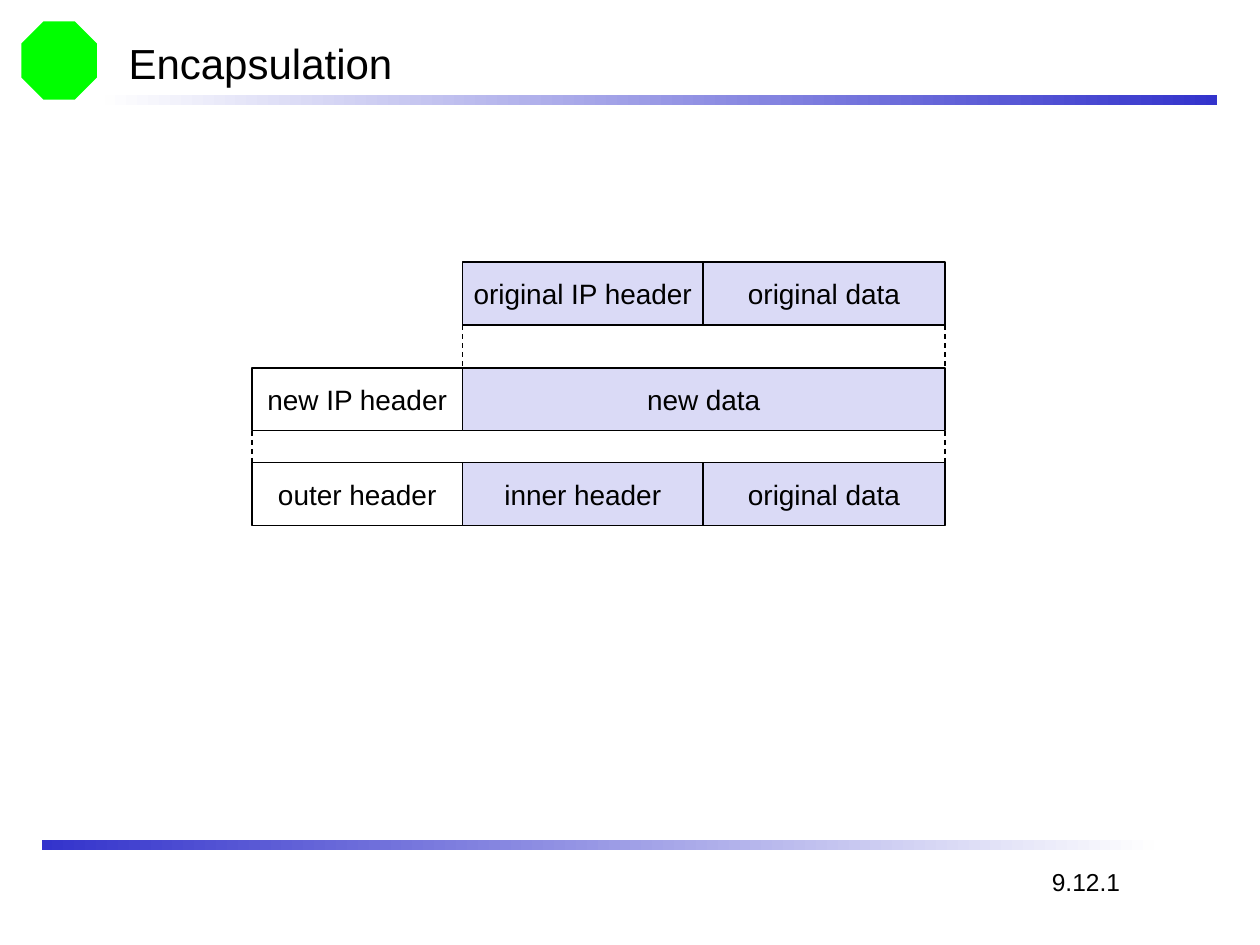
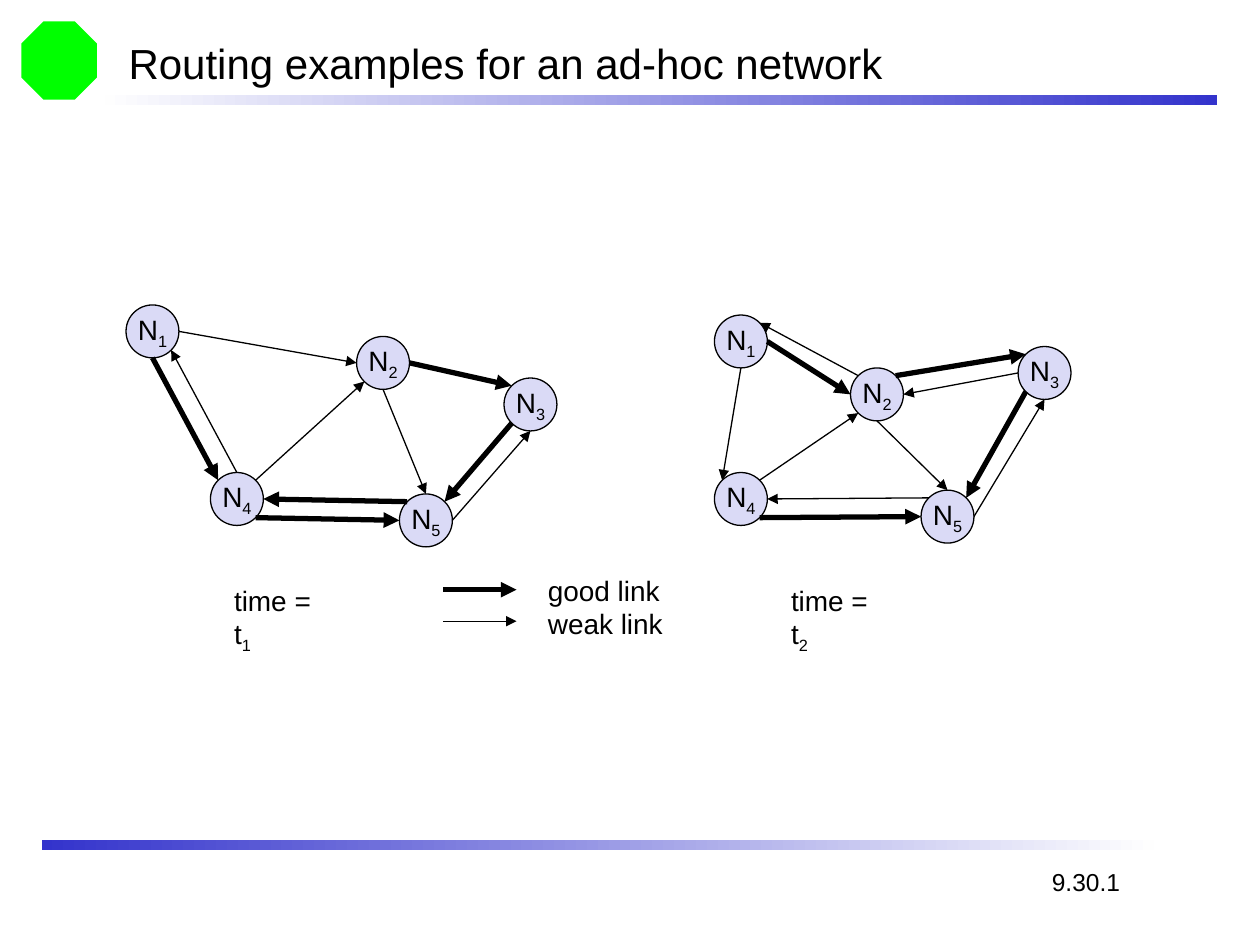
from math import cos, radians, sin

from lxml.etree import SubElement
from pptx import Presentation
from pptx.dml.color import RGBColor
from pptx.enum.dml import MSO_LINE
from pptx.enum.shapes import MSO_CONNECTOR, MSO_SHAPE
from pptx.enum.text import MSO_ANCHOR, MSO_AUTO_SIZE, PP_ALIGN
from pptx.oxml.ns import qn
from pptx.util import Inches, Pt

FONT = "Arial"
BLACK, WHITE = "000000", "FFFFFF"
LAVENDER, BAND_BLUE, BAND_PALE = "DADAF6", "3333CC", "FEFEFE"
EMBLEM_GREEN = "00FF00"
TITLE_ONLY = 5
THIN, THICK = 0.75, 3

NODE_SIZE = 0.42
# Directions from a node's centre, in degrees clockwise from east
COMPASS = {name: 45 * step for step, name in
           enumerate(["E", "SE", "S", "SW", "W", "NW", "N", "NE"])}


def color(hex_string):
    return RGBColor.from_string(hex_string)


class Deck:
    """Holds the shared style and the slide being built."""

    def __init__(self):
        self.presentation = Presentation()
        self.presentation.slide_width = Inches(10)
        self.presentation.slide_height = Inches(7.5)
        self.slide = None

    def new_slide(self, title, number):
        layout = self.presentation.slide_layouts[TITLE_ONLY]
        self.slide = self.presentation.slides.add_slide(layout)
        # Emblem and bands
        self.shape(MSO_SHAPE.OCTAGON, 0.17, 0.17, 0.6, 0.62, EMBLEM_GREEN)
        self.band(0.83, 0.75, BAND_PALE, BAND_BLUE)
        self.band(0.33, 6.67, BAND_BLUE, BAND_PALE)
        # Title and page number
        placeholder = self.slide.shapes.title
        placeholder.left, placeholder.top = Inches(0.92), Inches(0.25)
        placeholder.width, placeholder.height = Inches(8.5), Inches(0.5)
        frame = placeholder.text_frame
        frame.auto_size = MSO_AUTO_SIZE.NONE
        frame.vertical_anchor = MSO_ANCHOR.MIDDLE
        self.set_text(frame.paragraphs[0], title, 24, PP_ALIGN.LEFT)
        self.text(8.25, 6.83, 0.74, 0.34, [number], 14)

    def set_text(self, paragraph, text, size, alignment, subscript=""):
        paragraph.add_run().text = text
        if subscript:
            run = paragraph.add_run()
            run.text = subscript
            run.font._element.set("baseline", "-25000")
        paragraph.alignment = alignment
        paragraph.font.name = FONT
        paragraph.font.size = Pt(size)
        paragraph.font.color.rgb = color(BLACK)

    def shape(self, kind, left, top, width, height, fill=None, outlined=False):
        shape = self.slide.shapes.add_shape(
            kind, Inches(left), Inches(top), Inches(width), Inches(height))
        shape.shadow.inherit = False
        if fill:
            shape.fill.solid()
            shape.fill.fore_color.rgb = color(fill)
        if outlined:
            shape.line.color.rgb = color(BLACK)
            shape.line.width = Pt(THIN)
        else:
            shape.line.fill.background()
        return shape

    def band(self, left, top, start_color, end_color):
        band = self.shape(MSO_SHAPE.RECTANGLE, left, top, 8.83, 0.08)
        band.fill.gradient()
        band.fill.gradient_angle = 0
        for stop, hex_string in zip(band.fill.gradient_stops, (start_color, end_color)):
            stop.color.rgb = color(hex_string)

    def labelled(self, kind, left, top, width, height, text, fill, subscript=""):
        frame = self.shape(kind, left, top, width, height, fill, True).text_frame
        frame.word_wrap = False
        frame.vertical_anchor = MSO_ANCHOR.MIDDLE
        self.set_text(frame.paragraphs[0], text, 16, PP_ALIGN.CENTER, subscript)

    def text(self, left, top, width, height, lines, size=16, subscript=""):
        box = self.slide.shapes.add_textbox(
            Inches(left), Inches(top), Inches(width), Inches(height))
        frame = box.text_frame
        frame.word_wrap = False
        frame.auto_size = MSO_AUTO_SIZE.SHAPE_TO_FIT_TEXT
        for index, line in enumerate(lines):
            paragraph = frame.add_paragraph() if index else frame.paragraphs[0]
            self.set_text(paragraph, line, size, PP_ALIGN.LEFT, subscript)

    def line(self, start, end, width=THIN, dashed=False, arrow=False):
        connector = self.slide.shapes.add_connector(
            MSO_CONNECTOR.STRAIGHT, *(Inches(value) for value in (*start, *end)))
        connector.line.color.rgb = color(BLACK)
        connector.line.width = Pt(width)
        if dashed:
            connector.line.dash_style = MSO_LINE.DASH
        properties = connector._element.spPr
        if arrow:
            SubElement(properties.find(qn("a:ln")), qn("a:tailEnd"), type="triangle")
        SubElement(properties, qn("a:effectLst"))

    def network(self, nodes, links):
        for name, (left, top) in nodes.items():
            self.labelled(MSO_SHAPE.OVAL, left, top, NODE_SIZE, NODE_SIZE,
                          "N", LAVENDER, name)
        for start, end, width in links:
            self.line(rim_point(nodes, start), rim_point(nodes, end), width, arrow=True)


def rim_point(nodes, site):
    """Point on a node's rim; the site "4NE" is the north-east of node 4."""
    left, top = nodes[site[0]]
    angle = radians(COMPASS[site[1:]])
    radius = NODE_SIZE / 2
    return left + radius * (1 + cos(angle)), top + radius * (1 + sin(angle))


def encapsulation(deck):
    deck.new_slide("Encapsulation", "9.12.1")
    edges = [2, 3.67, 5.58, 7.5]
    row_height, tie_length = 0.5, 0.33
    # Packet rows: top, then first edge, last edge, text and fill of each field
    rows = [
        (2.08, [(1, 2, "original IP header", LAVENDER), (2, 3, "original data", LAVENDER)]),
        (2.92, [(1, 3, "new data", LAVENDER), (0, 1, "new IP header", WHITE)]),
        (3.67, [(0, 1, "outer header", WHITE), (1, 2, "inner header", LAVENDER),
                (2, 3, "original data", LAVENDER)]),
    ]
    for top, fields in rows:
        for first, last, text, fill in fields:
            deck.labelled(MSO_SHAPE.RECTANGLE, edges[first], top,
                          edges[last] - edges[first], row_height, text, fill)
    # Dashed ties between rows
    for (top, _), tied_edges in zip(rows, [(1, 3), (0, 3)]):
        tie_top = top + row_height
        for edge in tied_edges:
            deck.line((edges[edge], tie_top), (edges[edge], tie_top + tie_length), dashed=True)


def routing(deck):
    deck.new_slide("Routing examples for an ad-hoc network", "9.30.1")
    # Network at t1
    deck.network(
        {"1": (1, 2.42), "4": (1.67, 3.75), "2": (2.83, 2.67),
         "5": (3.17, 3.92), "3": (4, 3)},
        [("1E", "2W", THIN), ("4NE", "2SW", THIN), ("5NW", "4E", THICK),
         ("4SE", "5W", THICK), ("4N", "1SE", THIN), ("1S", "4NW", THICK),
         ("2E", "3NW", THICK), ("3SW", "5NE", THICK), ("5E", "3S", THIN),
         ("2S", "5N", THIN)])
    # Network at t2
    deck.network(
        {"1": (5.67, 2.5), "4": (5.67, 3.75), "2": (6.75, 2.92),
         "5": (7.31, 3.89), "3": (8.08, 2.75)},
        [("1E", "2W", THICK), ("4NE", "2SW", THIN), ("5NW", "4E", THIN),
         ("4SE", "5W", THICK), ("1S", "4NW", THIN), ("2NE", "3NW", THICK),
         ("3SW", "5NE", THICK), ("5E", "3S", THIN), ("2S", "5N", THIN),
         ("2NW", "1NE", THIN), ("3W", "2E", THIN)])
    # Legend and times
    for top, width in [(4.68, THICK), (4.93, THIN)]:
        deck.line((3.52, top), (4.1, top), width, arrow=True)
    deck.text(4.25, 4.5, 1.11, 0.64, ["good link", "weak link"])
    for left, moment in [(1.76, "1"), (6.18, "2")]:
        deck.text(left, 4.58, 1, 0.41, ["time = t"], subscript=moment)


def main():
    deck = Deck()
    encapsulation(deck)
    routing(deck)
    deck.presentation.save("out.pptx")


if __name__ == "__main__":
    main()
